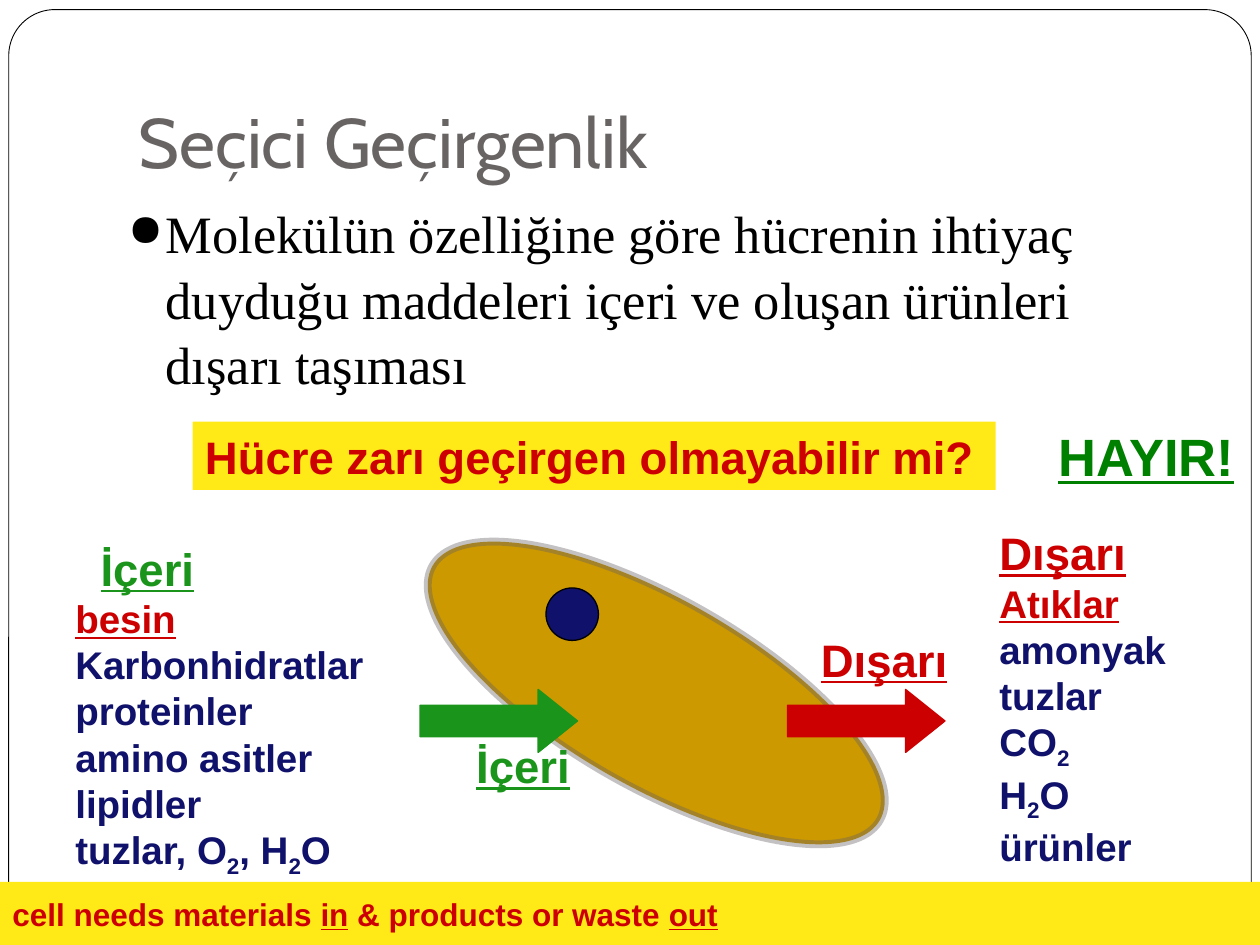
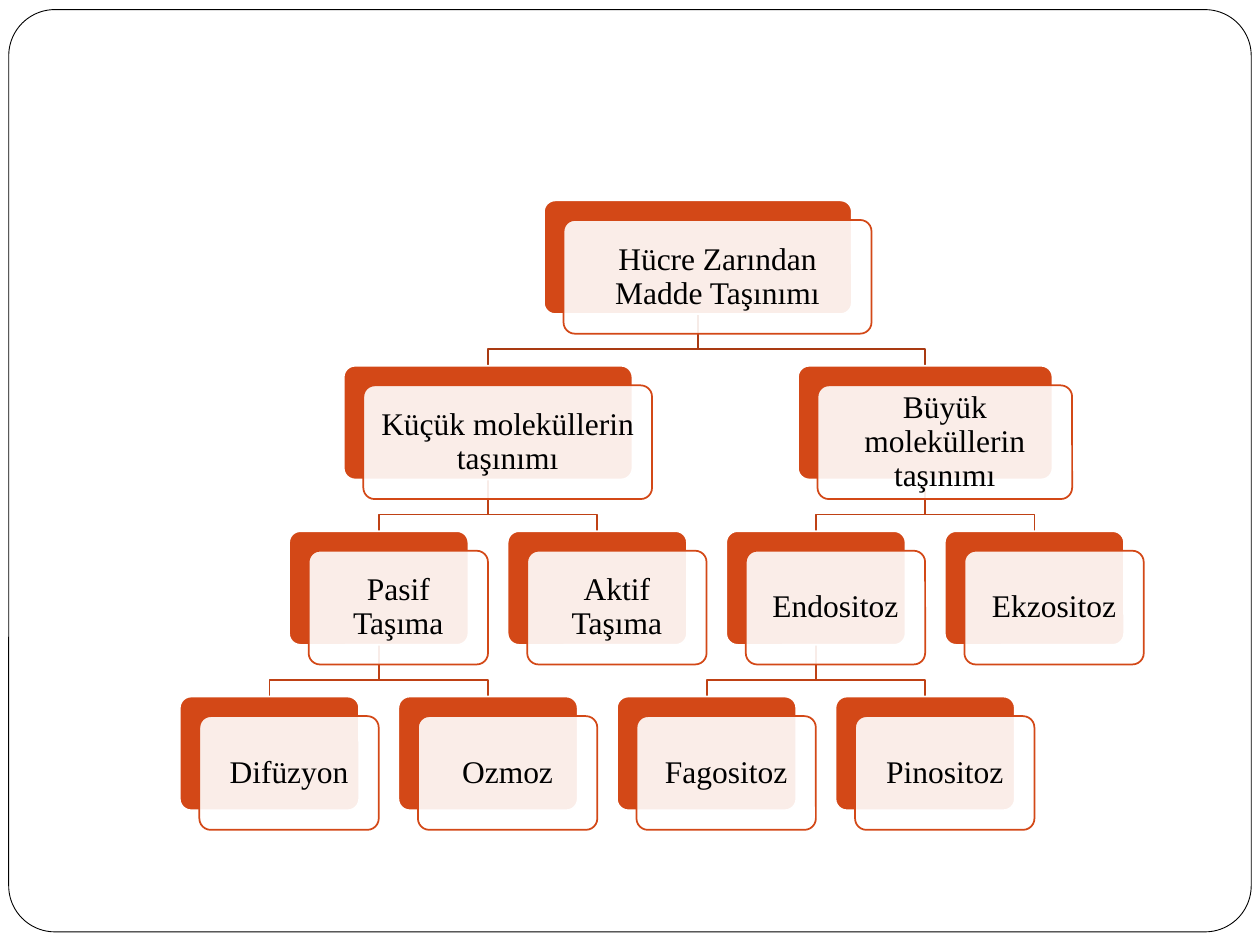
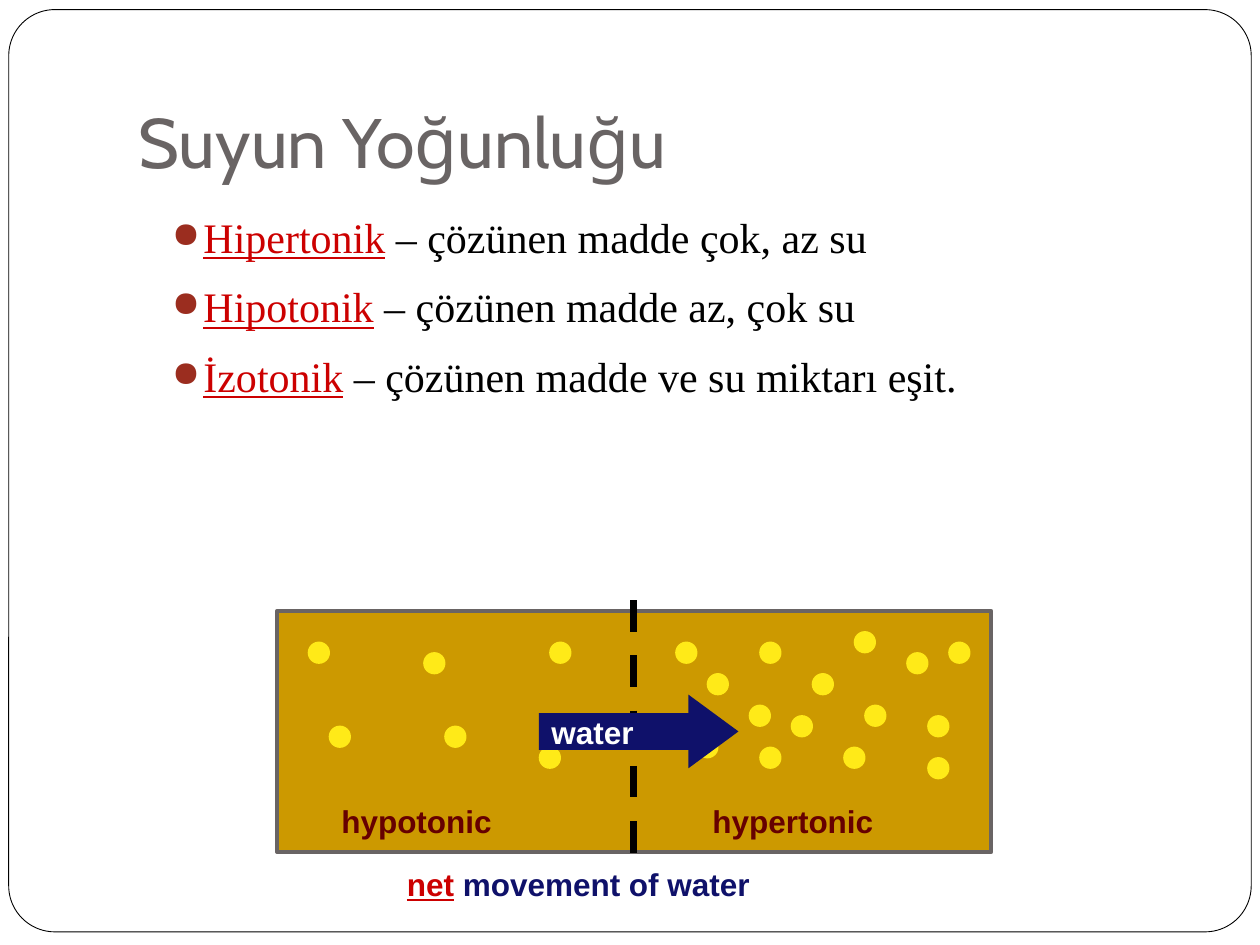
from lxml.etree import SubElement
from pptx import Presentation
from pptx.dml.color import RGBColor
from pptx.enum.dml import MSO_LINE
from pptx.enum.shapes import MSO_CONNECTOR, MSO_SHAPE as SHAPE
from pptx.enum.text import MSO_ANCHOR as ANCHOR, MSO_AUTO_SIZE, PP_ALIGN as ALIGN
from pptx.oxml.ns import qn
from pptx.util import Pt

BLACK = RGBColor(0x00, 0x00, 0x00)
WHITE = RGBColor(0xFF, 0xFF, 0xFF)
GREY = RGBColor(0x69, 0x64, 0x64)
GOLD = RGBColor(0xCC, 0x99, 0x00)
YELLOW = RGBColor(0xFF, 0xEA, 0x18)
NAVY = RGBColor(0x0F, 0x11, 0x6A)
RED = RGBColor(0xCC, 0x00, 0x00)
MAROON = RGBColor(0x66, 0x00, 0x00)
GREEN = RGBColor(0x1A, 0x94, 0x1A)
DARK_GREEN = RGBColor(0x00, 0x80, 0x00)
ORANGE = RGBColor(0xD3, 0x48, 0x17)
BRANCH = RGBColor(0xBF, 0x41, 0x15)
ROOT_BRANCH = RGBColor(0xA9, 0x3A, 0x12)
BRICK = RGBColor(0x9B, 0x2D, 0x1F)
SERIF = "Times New Roman"
SUB = {"baseline": -25000}


def draw(slide, kind, left, top, width, height, fill=None, line=None, weight=0.75,
         adjust=(), fill_opacity=None, line_opacity=None):
    box = [Pt(value) for value in (left, top, width, height)]
    if kind is None:
        return slide.shapes.add_textbox(*box)
    shape = slide.shapes.add_shape(kind, *box)
    shape.shadow.inherit = False
    for index, value in enumerate(adjust):
        shape.adjustments[index] = value
    shape.fill.solid()
    shape.fill.fore_color.rgb = fill
    if line is None:
        shape.line.fill.background()
    else:
        shape.line.color.rgb = line
        shape.line.width = Pt(weight)
    color_path = f"{qn('a:solidFill')}/{qn('a:srgbClr')}"
    for prefix, opacity in (("", fill_opacity), (qn("a:ln") + "/", line_opacity)):
        if opacity:
            color = shape.element.spPr.find(prefix + color_path)
            SubElement(color, qn("a:alpha")).set("val", str(opacity * 1000))
    return shape


def write(shape, *paragraphs, size=18, font="Arial", color=BLACK, bold=True,
          underline=False, align=ALIGN.LEFT, anchor=ANCHOR.MIDDLE,
          insets=(7.2, 3.6, 7.2, 3.6), line_spacing=None, space_before=0,
          bullet_color=None, margin=0, hanging=0):
    frame = shape.text_frame
    frame.word_wrap = True
    frame.auto_size = MSO_AUTO_SIZE.NONE
    frame.vertical_anchor = anchor
    frame.margin_left, frame.margin_top, frame.margin_right, frame.margin_bottom = map(Pt, insets)
    for index, runs in enumerate(paragraphs):
        paragraph = frame.add_paragraph() if index else frame.paragraphs[0]
        if bullet_color is not None:
            properties = paragraph._p.get_or_add_pPr()
            properties.set("marL", str(Pt(margin)))
            properties.set("indent", str(Pt(-hanging)))
            bullet = SubElement(properties, qn("a:buClr"))
            SubElement(bullet, qn("a:srgbClr")).set("val", str(bullet_color))
            SubElement(properties, qn("a:buSzPct")).set("val", "85000")
            SubElement(properties, qn("a:buChar")).set("char", "●")
        paragraph.alignment = align
        if line_spacing:
            paragraph.line_spacing = line_spacing
        if index and space_before:
            paragraph.space_before = Pt(space_before)
        for part in [runs] if isinstance(runs, str) else runs:
            text, style = (part, {}) if isinstance(part, str) else part
            run = paragraph.add_run()
            run.text = text
            run.font.name = font
            run.font.bold = bold
            run.font.size = Pt(style.get("size", size))
            run.font.color.rgb = style.get("color", color)
            run.font.underline = style.get("underline", underline)
            if "baseline" in style:
                run.font._element.set("baseline", str(style["baseline"]))


presentation = Presentation()
presentation.slide_width = Pt(720)
presentation.slide_height = Pt(540)
title_only, blank = presentation.slide_layouts[5], presentation.slide_layouts[6]
permeability, transport, concentration = [
    presentation.slides.add_slide(layout) for layout in (title_only, blank, title_only)]

frame = draw(permeability, SHAPE.ROUNDED_RECTANGLE, 5, 5.5, 710, 527,
             fill=WHITE, line=BLACK, weight=0.5, adjust=[0.05])
frame.element.nvSpPr.cNvPr.set("id", "100")
presentation.slide_master.shapes.element.insert(2, frame.element)

for slide, heading in ((permeability, "Seçici Geçirgenlik"), (concentration, "Suyun Yoğunluğu")):
    title = slide.shapes.title
    title.left, title.top, title.width, title.height = Pt(72), Pt(21.6), Pt(612), Pt(90)
    write(title, heading, size=40, font="Cabin", color=GREY, bold=False,
          anchor=ANCHOR.BOTTOM, insets=(7.2, 3.6, 7.2, 7.2))

body = draw(permeability, None, 66, 110, 618, 127)
write(body, "Molekülün özelliğine göre hücrenin ihtiyaç duyduğu maddeleri içeri ve "
            "oluşan ürünleri dışarı taşıması",
      size=30, font=SERIF, bold=False, anchor=ANCHOR.TOP, line_spacing=1.04,
      bullet_color=BLACK, margin=21.6, hanging=21.6)

cell = draw(permeability, SHAPE.OVAL, 228, 342, 294, 108, fill=GOLD, line=GREY,
            weight=4.5, line_opacity=40)
cell.rotation = 29.6
draw(permeability, SHAPE.OVAL, 312, 336, 30, 30, fill=NAVY, line=BLACK)
for left, color in ((240, GREEN), (450, RED)):
    draw(permeability, SHAPE.RIGHT_ARROW, left, 394, 90, 36, fill=color, line=color,
         adjust=[0.5, 0.625])

inputs = draw(permeability, None, 36, 306, 182, 199)
write(inputs,
      [("İçeri", {"size": 26, "color": GREEN, "underline": True})],
      [("besin", {"color": RED, "underline": True})],
      "Karbonhidratlar", "proteinler", "amino asitler", "lipidler",
      ["tuzlar, O", ("2", SUB), ", H", ("2", SUB), "O"],
      size=22, color=NAVY)
inputs.text_frame.paragraphs[0]._p.get_or_add_pPr().set("marL", str(Pt(14.4)))

outputs = draw(permeability, None, 564, 299, 113, 199)
write(outputs,
      [("Dışarı", {"size": 26, "color": RED, "underline": True})],
      [("Atıklar", {"color": RED, "underline": True})],
      "amonyak", "tuzlar", ["CO", ("2", SUB)], ["H", ("2", SUB), "O"], "ürünler",
      size=22, color=NAVY)

for text, left, top, width, height, size, color in (
        ("İçeri", 265, 418, 70, 39, 26, GREEN),
        ("Dışarı", 462, 357, 89, 39, 26, RED),
        ("HAYIR!", 597.6, 238.5, 117, 44, 30, DARK_GREEN)):
    label = draw(permeability, None, left, top, width, height)
    write(label, text, size=size, color=color, underline=True)

question = draw(permeability, SHAPE.RECTANGLE, 110, 241, 459, 39, fill=YELLOW)
write(question, "Hücre zarı geçirgen olmayabilir mi?", size=26, color=RED)
banner = draw(permeability, SHAPE.RECTANGLE, 0, 504, 720, 36, fill=YELLOW)
write(banner, ["cell needs materials ", ("in", {"underline": True}),
               " & products or waste ", ("out", {"underline": True})], color=RED)

COLUMN_START, COLUMN_STEP = 154, 62.45
ROW_START, ROW_STEP = 114.5, 94.5
BOX_HEIGHT, BOX_SHIFT, LEAF_WIDTH = 65, 11.2, 102.5
nodes = [
    ("Hücre Zarından Madde Taşınımı", 0, 3.92, 176, None),
    ("Küçük moleküllerin taşınımı", 1, 2, 165, 3.92),
    ("Büyük moleküllerin taşınımı", 1, 6, 145.5, 3.92),
    ("Pasif Taşıma", 2, 1, LEAF_WIDTH, 2),
    ("Aktif Taşıma", 2, 3, LEAF_WIDTH, 2),
    ("Endositoz", 2, 5, LEAF_WIDTH, 6),
    ("Ekzositoz", 2, 7, LEAF_WIDTH, 6),
    ("Difüzyon", 3, 0, LEAF_WIDTH, 1),
    ("Ozmoz", 3, 2, LEAF_WIDTH, 1),
    ("Fagositoz", 3, 4, LEAF_WIDTH, 5),
    ("Pinositoz", 3, 6, LEAF_WIDTH, 5),
]
for text, level, column, width, parent in nodes[1:]:
    start = COLUMN_START + COLUMN_STEP * parent
    end = COLUMN_START + COLUMN_STEP * column
    bottom = ROW_START + ROW_STEP * level
    top = bottom - ROW_STEP + BOX_HEIGHT
    bend = top + 20
    builder = transport.shapes.build_freeform(Pt(start), Pt(top))
    builder.add_line_segments([(Pt(x), Pt(y)) for x, y in
                               ((start, bend), (end, bend), (end, bottom))], close=False)
    branch = builder.convert_to_shape()
    branch.shadow.inherit = False
    branch.fill.background()
    branch.line.color.rgb = ROOT_BRANCH if level == 1 else BRANCH
    branch.line.width = Pt(1)

for text, level, column, width, parent in nodes:
    left = COLUMN_START + COLUMN_STEP * column - width / 2
    top = ROW_START + ROW_STEP * level
    draw(transport, SHAPE.ROUNDED_RECTANGLE, left, top, width, BOX_HEIGHT,
         fill=ORANGE, line=WHITE, weight=1, adjust=[0.1])
    card = draw(transport, SHAPE.ROUNDED_RECTANGLE, left + BOX_SHIFT, top + BOX_SHIFT, width,
                BOX_HEIGHT, fill=WHITE, line=ORANGE, weight=1, adjust=[0.1], fill_opacity=90)
    write(card, text, font=SERIF, bold=False, align=ALIGN.CENTER, line_spacing=0.9,
          insets=(5, 5, 5, 5))

term = {"color": RED, "underline": True}
definitions = draw(concentration, None, 66, 110, 618, 228)
write(definitions,
      [("Hipertonik", term), " – çözünen madde çok, az su"],
      [("Hipotonik", term), " – çözünen madde az, çok su"],
      [("İzotonik", term), " – çözünen madde ve su miktarı eşit."],
      size=24, font=SERIF, bold=False, anchor=ANCHOR.TOP, line_spacing=1.25,
      space_before=3.8, bullet_color=BRICK, margin=43.2, hanging=18)

draw(concentration, SHAPE.RECTANGLE, 158.4, 349, 408, 138, fill=GOLD, line=GREY, weight=2.25)
membrane = concentration.shapes.add_connector(
    MSO_CONNECTOR.STRAIGHT, Pt(362), Pt(343), Pt(362), Pt(493))
membrane.line.color.rgb = BLACK
membrane.line.width = Pt(4.5)
membrane.line.dash_style = MSO_LINE.DASH
SubElement(membrane.element.spPr, qn("a:effectLst"))

for text, left, width in (("hypotonic", 188, 129), ("hypertonic", 400, 137)):
    label = draw(concentration, None, left, 451, width, 36)
    write(label, text, color=MAROON)

DOT_STEP = 6
dots = [(0, 1), (11, 2), (2, 9), (13, 9), (22, 11), (23, 1), (35, 1), (43, 1), (38, 4),
        (46, 8), (48, 4), (42, 7), (37, 10), (43, 11), (51, 11), (53, 7), (52, 0),
        (57, 2), (59, 8), (59, 12), (61, 1)]
for column, row in dots:
    draw(concentration, SHAPE.OVAL, 176.2 + DOT_STEP * column, 361 + DOT_STEP * row, 12, 12,
         fill=YELLOW, line=YELLOW)

water = draw(concentration, SHAPE.RIGHT_ARROW, 308, 397, 114, 42, fill=NAVY, adjust=[0.5, 0.68])
write(water, "water", color=WHITE)
caption = draw(concentration, None, 225.4, 487, 276, 36)
write(caption, [("net", term), " movement of water"], color=NAVY)

presentation.save("out.pptx")
